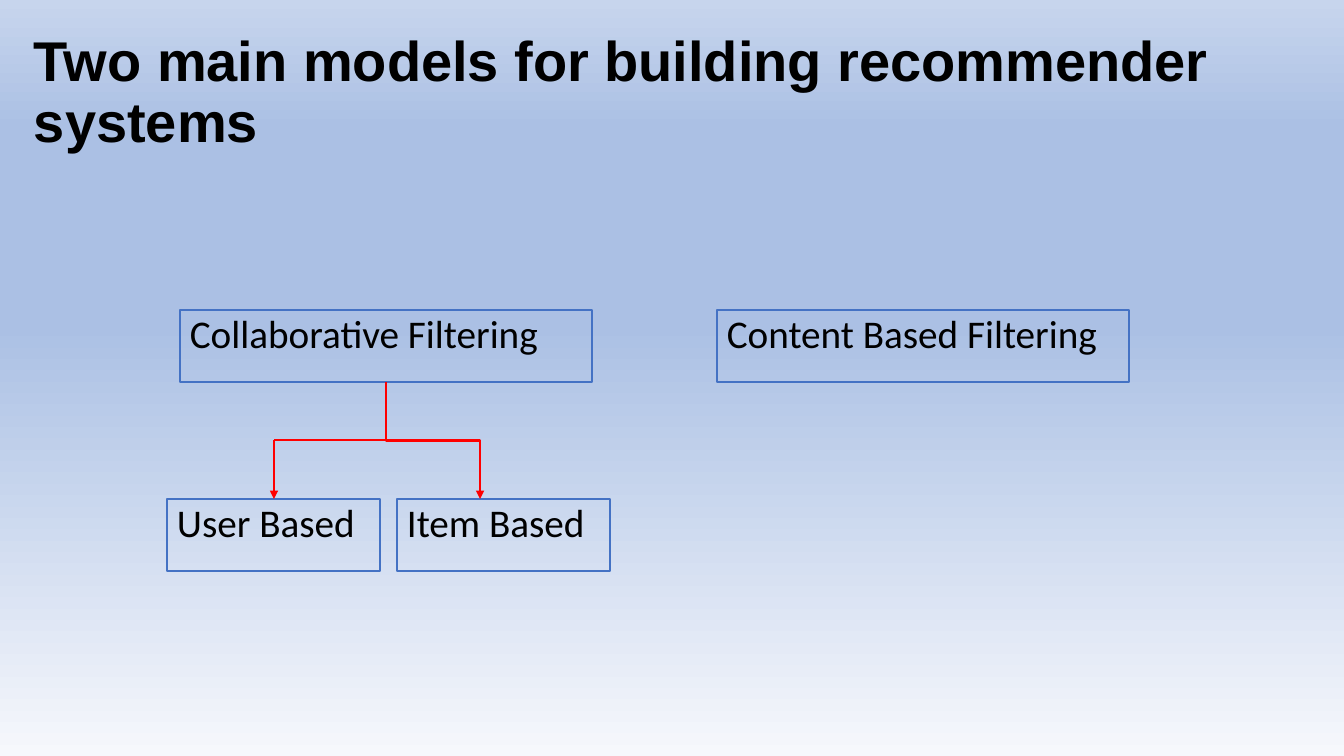
from copy import deepcopy
from dataclasses import dataclass

from pptx import Presentation
from pptx.dml.color import RGBColor
from pptx.enum.shapes import MSO_CONNECTOR as ConnectorType, MSO_SHAPE as ShapeType
from pptx.enum.text import MSO_ANCHOR as Anchor, PP_ALIGN as Align
from pptx.oxml.ns import qn
from pptx.shapes.connector import Connector
from pptx.slide import Slide
from pptx.text.text import TextFrame
from pptx.util import Emu, Pt

EMU_PER_PX = 914400 / 100.8


@dataclass(frozen=True)
class Theme:
    text: str = "000000"
    box_line: str = "4472C4"
    arrow: str = "FF0000"
    title_font: str = "Arial"
    body_font: str = "Calibri"
    title_size: int = 40
    body_size: int = 28
    box_line_width: float = 1.25
    arrow_width: float = 2
    background: tuple[tuple[float, str], ...] = (
        (0, "F6F8FC"), (0.57, "ABC0E4"), (0.83, "ABC0E4"), (1, "C7D5ED"))


@dataclass(frozen=True)
class Box:
    text: str
    left: int
    top: int
    width: int
    height: int = 72


@dataclass(frozen=True)
class Line:
    start: tuple[int, int]
    end: tuple[int, int]
    elbow: bool = False
    arrowhead: bool = True


THEME = Theme()
TITLE = Box("Two main models for building recommender systems", 24, 21, 1272, 146)
MODEL_TOP, MODEL_WIDTH = 310, 412
VARIANT_TOP, VARIANT_WIDTH = 499, 213
BOXES = (
    Box("Collaborative Filtering", 180, MODEL_TOP, MODEL_WIDTH),
    Box("Content Based Filtering", 717, MODEL_TOP, MODEL_WIDTH),
    Box("Item Based", 397, VARIANT_TOP, VARIANT_WIDTH),
    Box("User Based", 167, VARIANT_TOP, VARIANT_WIDTH),
)
TRUNK_X, USER_X, ITEM_X = 386, 274, 480
TRUNK_TOP, BRANCH_Y = 382, 440
LINES = (
    Line((TRUNK_X, TRUNK_TOP), (ITEM_X, VARIANT_TOP), elbow=True),
    Line((USER_X, BRANCH_Y), (USER_X, VARIANT_TOP)),
    Line((TRUNK_X, BRANCH_Y), (USER_X, BRANCH_Y), arrowhead=False),
)


def px(length: float) -> Emu:
    return Emu(round(length * EMU_PER_PX))


def paint_background(slide: Slide) -> None:
    fill = slide.background.fill
    fill.gradient()
    fill.gradient_angle = 90
    stop_list = slide.element.find(".//" + qn("a:gsLst"))
    while len(stop_list) < len(THEME.background):
        stop_list.append(deepcopy(stop_list[0]))
    for stop, (position, color) in zip(fill.gradient_stops, THEME.background):
        stop.position = position
        stop.color.rgb = RGBColor.from_string(color)


def write(frame: TextFrame, text: str, font_name: str, size: int, bold: bool = False,
          anchor: Anchor = Anchor.TOP, space_before: int = 0) -> None:
    frame.word_wrap = True
    frame.vertical_anchor = anchor
    paragraph = frame.paragraphs[0]
    paragraph.text = text
    paragraph.alignment = Align.LEFT
    paragraph.line_spacing = 0.9
    paragraph.space_before = Pt(space_before)
    font = paragraph.font
    font.name, font.size, font.bold = font_name, Pt(size), bold
    font.color.rgb = RGBColor.from_string(THEME.text)


def add_title(slide: Slide, box: Box) -> None:
    shape = slide.shapes.add_textbox(
        px(box.left), px(box.top), px(box.width), px(box.height))
    write(shape.text_frame, box.text, THEME.title_font, THEME.title_size,
          bold=True, anchor=Anchor.MIDDLE)


def add_box(slide: Slide, box: Box) -> None:
    shape = slide.shapes.add_shape(
        ShapeType.RECTANGLE, px(box.left), px(box.top), px(box.width), px(box.height))
    shape.shadow.inherit = False
    shape.fill.background()
    shape.line.color.rgb = RGBColor.from_string(THEME.box_line)
    shape.line.width = Pt(THEME.box_line_width)
    write(shape.text_frame, box.text, THEME.body_font, THEME.body_size, space_before=10)


def add_elbow(slide: Slide, line: Line) -> Connector:
    """Draw a vertical-first elbow as a mirrored connector turned by 270 degrees."""
    (x1, y1), (x2, y2) = line.start, line.end
    center_x, center_y = (x1 + x2) / 2, (y1 + y2) / 2
    half_run, half_rise = (y2 - y1) / 2, (x2 - x1) / 2
    connector = slide.shapes.add_connector(
        ConnectorType.ELBOW,
        px(center_x + half_run), px(center_y - half_rise),
        px(center_x - half_run), px(center_y + half_rise))
    connector.element.spPr.find(qn("a:xfrm")).set("rot", str(270 * 60000))
    return connector


def add_line(slide: Slide, line: Line) -> None:
    if line.elbow:
        connector = add_elbow(slide, line)
    else:
        connector = slide.shapes.add_connector(
            ConnectorType.STRAIGHT, *map(px, line.start + line.end))
    connector.line.color.rgb = RGBColor.from_string(THEME.arrow)
    connector.line.width = Pt(THEME.arrow_width)
    properties = connector.element.spPr
    if line.arrowhead:
        outline = properties.find(qn("a:ln"))
        outline.append(outline.makeelement(qn("a:tailEnd"), {"type": "triangle"}))
    properties.append(properties.makeelement(qn("a:effectLst"), {}))


def main() -> None:
    presentation = Presentation()
    presentation.slide_width, presentation.slide_height = px(1344), px(756)
    slide = presentation.slides.add_slide(presentation.slide_layouts[6])
    paint_background(slide)
    add_title(slide, TITLE)

    # Models and their variants
    for box in BOXES:
        add_box(slide, box)

    # Branches from collaborative filtering
    for line in LINES:
        add_line(slide, line)

    presentation.save("out.pptx")


if __name__ == "__main__":
    main()
